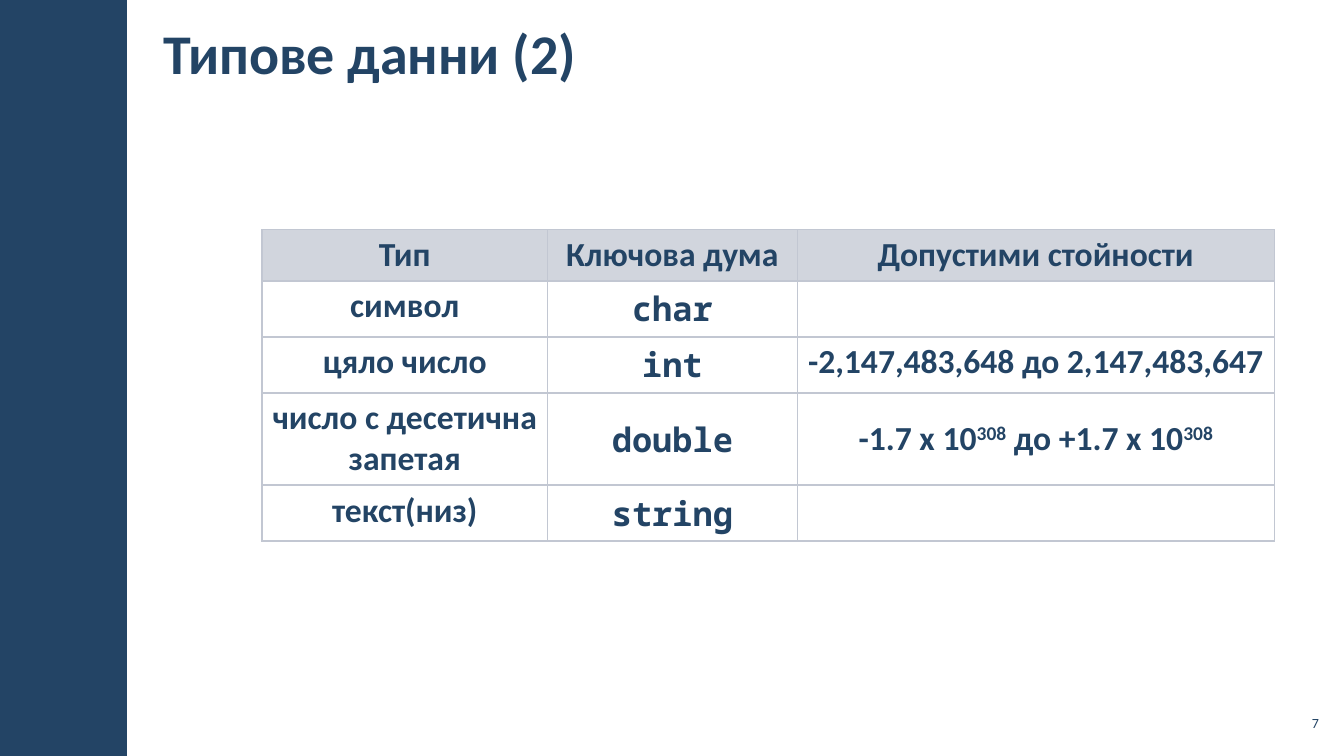
from dataclasses import dataclass
from typing import NamedTuple

from lxml import etree
from pptx import Presentation
from pptx.dml.color import RGBColor
from pptx.enum.shapes import MSO_SHAPE
from pptx.enum.text import MSO_ANCHOR, MSO_AUTO_SIZE, PP_ALIGN
from pptx.oxml.ns import qn
from pptx.util import Inches, Pt

RECT = MSO_SHAPE.RECTANGLE
TOP, MIDDLE = MSO_ANCHOR.TOP, MSO_ANCHOR.MIDDLE
LEFT, CENTER, RIGHT = PP_ALIGN.LEFT, PP_ALIGN.CENTER, PP_ALIGN.RIGHT
NO_FIT = MSO_AUTO_SIZE.NONE
WIDE, HIGH = Inches(13.33), Inches(7.5)
TITLE_ONLY = 5


@dataclass(frozen=True)
class Theme:
    ink: str = "234465"
    head: str = "D1D5DD"
    rule: str = "C2C7D2"
    sans: str = "Calibri"
    mono: str = "Noto Sans Mono"
    title: int = 40
    body: int = 24
    small: int = 10


class Box(NamedTuple):
    """Place and size as percentages of the slide."""
    x: float
    y: float
    w: float
    h: float


class Row(NamedTuple):
    """A data type; words after ^ in the range are raised up to the next ^."""
    kind: str
    word: str
    span: str
    high: float
    anchor: MSO_ANCHOR = TOP


THEME = Theme()
BAR = Box(0, 0, 9.45, 100)
TITLE = Box(11.25, 0.4, 68.87, 12.93)
NUMBER = Box(94.9, 93.33, 3.53, 4.53)
GRID = Box(19.5, 30.4, 75.31, 41.15)
COLS = (21.23, 18.6, 35.48)
ROWS = (
    Row("Тип", "Ключова дума", "Допустими стойности", 6.76, MIDDLE),
    Row("символ", "char", "", 7.4),
    Row("цяло число", "int", "-2,147,483,648 до 2,147,483,647", 7.4),
    Row("число с десетична\nзапетая", "double",
        "-1.7 x 10^308^ до +1.7 x 10^308", 12.19, MIDDLE),
    Row("текст(низ)", "string", "", 7.4),
)


def across(part: float) -> int:
    return round(WIDE * part / 100)


def down(part: float) -> int:
    return round(HIGH * part / 100)


def place(box: Box) -> tuple[int, int, int, int]:
    return across(box.x), down(box.y), across(box.w), down(box.h)


def style(frame, size: int, align: PP_ALIGN, bold: bool = False,
          face: str = THEME.sans) -> None:
    for para in frame.paragraphs:
        para.alignment = align
        for run in para.runs:
            font = run.font
            font.name, font.size, font.bold = face, Pt(size), bold
            font.color.rgb = RGBColor.from_string(THEME.ink)


def write(frame, text: str) -> None:
    """Fill the frame, raising every second part split off by ^."""
    if "^" not in text:
        frame.text = text
        return
    for i, part in enumerate(text.split("^")):
        run = frame.paragraphs[0].add_run()
        run.text = part
        if i % 2:
            run._r.get_or_add_rPr().set("baseline", "30000")


def border(cell) -> None:
    props = cell._tc.get_or_add_tcPr()
    for i, side in enumerate(("lnL", "lnR", "lnT", "lnB")):
        line = etree.Element(qn(f"a:{side}"), w=str(Pt(1)))
        fill = etree.SubElement(line, qn("a:solidFill"))
        etree.SubElement(fill, qn("a:srgbClr"), val=THEME.rule)
        props.insert(i, line)


def add_bar(slide) -> None:
    bar = slide.shapes.add_shape(RECT, *place(BAR))
    bar.shadow.inherit = False
    bar.fill.solid()
    bar.fill.fore_color.rgb = RGBColor.from_string(THEME.ink)
    bar.line.fill.background()


def add_title(slide) -> None:
    title = slide.shapes.title
    title.left, title.top, title.width, title.height = place(TITLE)
    frame = title.text_frame
    frame.text = "Типове данни (2)"
    frame.auto_size, frame.vertical_anchor = NO_FIT, MIDDLE
    frame.margin_left = frame.margin_right = Inches(0.12)
    frame.margin_top = frame.margin_bottom = Inches(0.04)
    style(frame, THEME.title, LEFT, bold=True)


def add_number(slide) -> None:
    frame = slide.shapes.add_textbox(*place(NUMBER)).text_frame
    frame.text = "7"
    frame.word_wrap, frame.vertical_anchor = True, MIDDLE
    frame.margin_left = frame.margin_right = Inches(0.04)
    frame.margin_top = frame.margin_bottom = Inches(0.04)
    style(frame, THEME.small, RIGHT)


def add_grid(slide) -> None:
    table = slide.shapes.add_table(len(ROWS), len(COLS), *place(GRID)).table
    table.first_row = table.horz_banding = False
    for col, wide in zip(table.columns, COLS):
        col.width = across(wide)
    for r, row in enumerate(ROWS):
        table.rows[r].height = down(row.high)
        for c, text in enumerate((row.kind, row.word, row.span)):
            cell = table.cell(r, c)
            cell.vertical_anchor = row.anchor
            if r == 0:
                cell.fill.solid()
                cell.fill.fore_color.rgb = RGBColor.from_string(THEME.head)
            else:
                cell.fill.background()
            border(cell)
            write(cell.text_frame, text)
            face = THEME.mono if r and c == 1 else THEME.sans
            style(cell.text_frame, THEME.body, CENTER, True, face)


def main() -> None:
    deck = Presentation()
    deck.slide_width, deck.slide_height = WIDE, HIGH
    slide = deck.slides.add_slide(deck.slide_layouts[TITLE_ONLY])
    add_bar(slide)
    add_title(slide)
    add_grid(slide)
    add_number(slide)
    deck.save("out.pptx")


if __name__ == "__main__":
    main()
